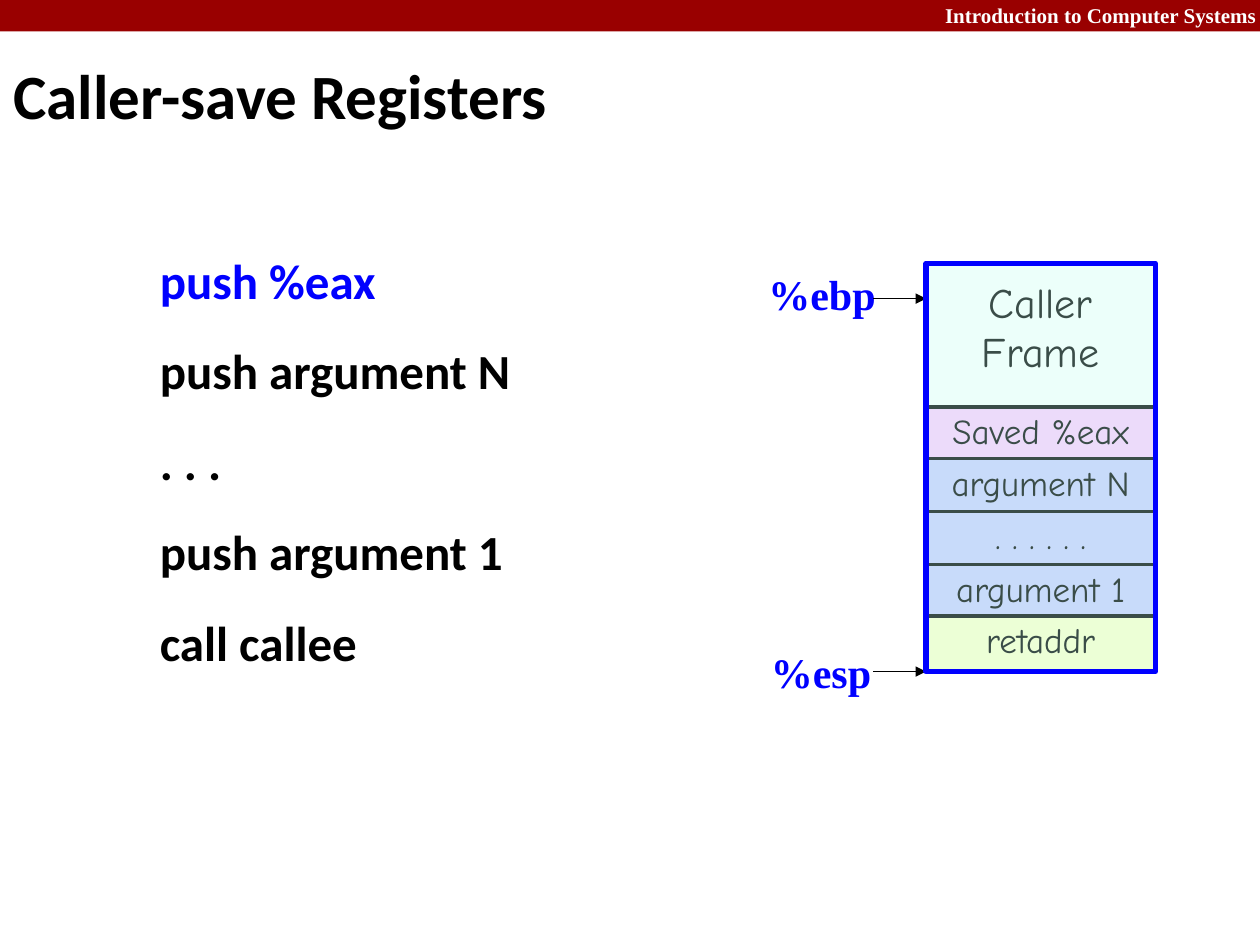
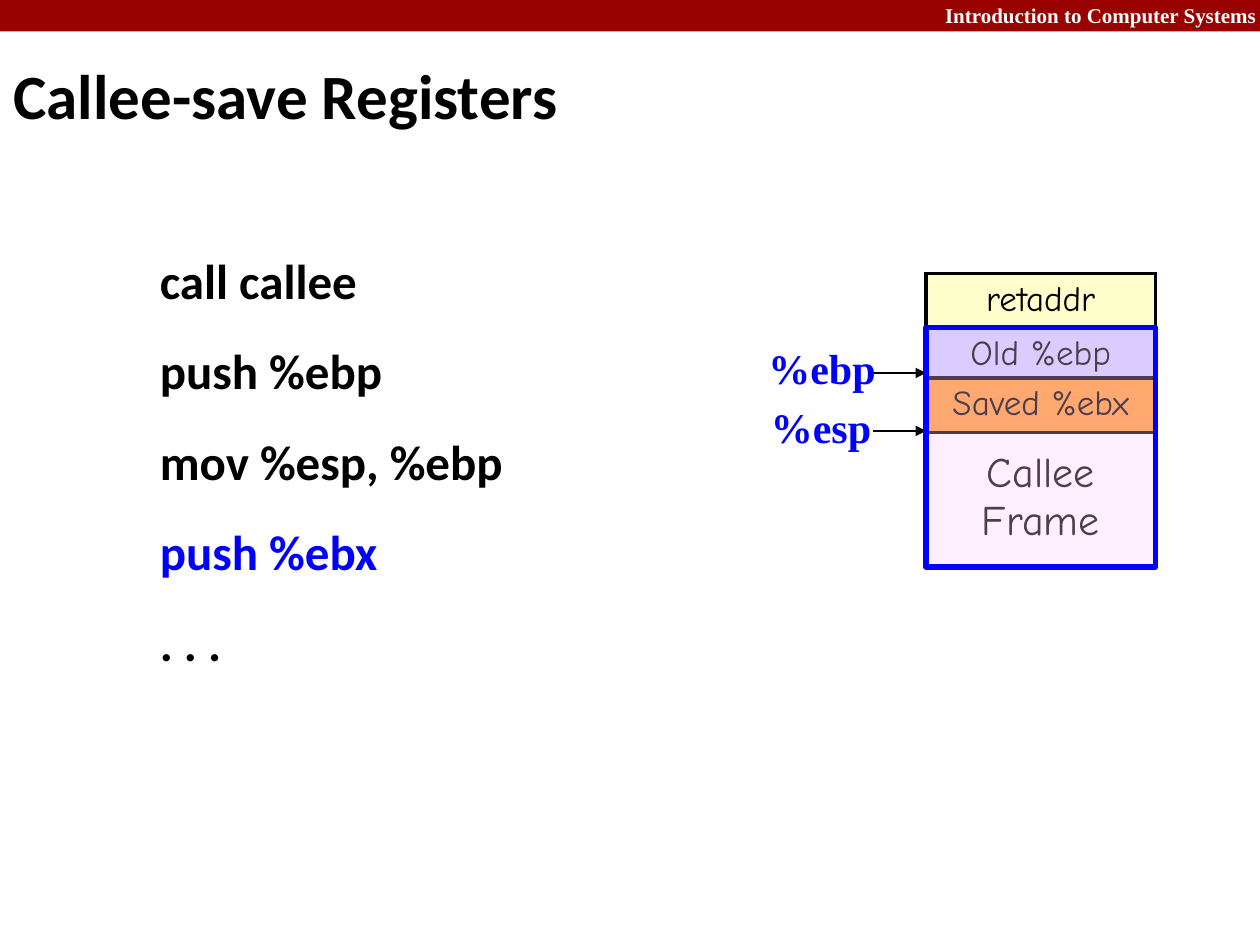
from dataclasses import dataclass

from lxml import etree
from pptx import Presentation
from pptx import util as u
from pptx.dml.color import RGBColor
from pptx.enum import shapes, text
from pptx.oxml import ns

# Content: cells are (text, top, fill); pointers are (text, left, label top, arrow height)
COURSE = "Introduction to Computer Systems"
SLIDES = [
    {
        "title": "Caller-save Registers",
        "code": ["push %eax", "push argument N", ". . .", "push argument 1", "call callee"],
        "highlight": "push %eax",
        "cells": [
            ("Saved %eax", 3.23, "FFCCFF"),
            ("argument N", 3.64, "CCCCFF"),
            (". . . . . .", 4.06, "CCCCFF"),
            ("argument 1", 4.48, "CCCCFF"),
            ("retaddr", 4.89, "FFFFCC"),
        ],
        "frame": {"label": "Caller\vFrame", "top": 2.09, "height": 3.24,
                  "label_offset": 0.14, "tint": "C2FFF0"},
        "pointers": [("%ebp", 6.0, 2.08, 2.37), ("%esp", 6.02, 5.08, 5.33)],
    },
    {
        "title": "Callee-save Registers",
        "code": ["call callee", "push %ebp", "mov %esp, %ebp", "push %ebx", ". . ."],
        "highlight": "push %ebx",
        "cells": [
            ("retaddr", 2.17, "FFFFCC"),
            ("Old %ebp", 2.6, "CCCCFF"),
            ("Saved %ebx", 3.0, "FF9933"),
        ],
        "frame": {"label": "Callee\vFrame", "top": 2.6, "height": 1.9,
                  "label_offset": 0.97, "tint": "FFCCFF"},
        "pointers": [("%ebp", 6.0, 2.67, 2.96), ("%esp", 6.02, 3.14, 3.42)],
    },
]


@dataclass(frozen=True)
class Theme:
    band: str = "990000"
    light: str = "FFFFFF"
    ink: str = "000000"
    accent: str = "0000FF"
    sans: str = "Calibri"
    serif: str = "Times New Roman"
    hand: str = "Comic Neue"
    course_size: int = 12
    title_size: int = 36
    code_size: int = 28
    pointer_size: int = 24
    frame_size: int = 24
    cell_size: int = 20
    code_gap: float = 4.7
    border: float = 2.25
    tint_opacity: int = 30


THEME = Theme()
STACK_LEFT, STACK_WIDTH, CELL_HEIGHT = 7.35, 1.82, 0.43
ARROW_LEFT = 6.93


def box(*lengths):
    return [u.Inches(length) for length in lengths]


def style(paragraph, font_name, size, color, bold=True):
    font = paragraph.font
    font.name, font.size, font.bold = font_name, u.Pt(size), bold
    font.color.rgb = RGBColor.from_string(color)


def add_text(slide, place, lines, wrap=True):
    """Add a text box and return its paragraphs."""
    frame = slide.shapes.add_textbox(*box(*place)).text_frame
    frame.word_wrap = wrap
    frame.text = "\n".join(lines)
    return frame.paragraphs


def add_rectangle(slide, place, fill):
    shape = slide.shapes.add_shape(shapes.MSO_SHAPE.RECTANGLE, *box(*place))
    shape.shadow.inherit = False
    shape.fill.solid()
    shape.fill.fore_color.rgb = RGBColor.from_string(fill)
    return shape


def add_header(slide, title):
    add_rectangle(slide, (0, 0, 10, 0.25), THEME.band).line.fill.background()
    course, = add_text(slide, (6, -0.03, 4.07, 0.3), [COURSE])
    course.alignment = text.PP_ALIGN.RIGHT
    style(course, THEME.serif, THEME.course_size, THEME.light)
    heading, = add_text(slide, (0.01, 0.33, 8.3, 0.83), [title])
    slide.shapes[-1].text_frame.vertical_anchor = text.MSO_ANCHOR.MIDDLE
    style(heading, THEME.sans, THEME.title_size, THEME.ink)


def add_code(slide, lines, highlight):
    for paragraph in add_text(slide, (1.17, 1.75, 8.5, 4.83), lines):
        paragraph.line_spacing = 1.4
        paragraph.space_before = u.Pt(THEME.code_gap)
        color = THEME.accent if paragraph.text == highlight else THEME.ink
        style(paragraph, THEME.sans, THEME.code_size, color)


def add_borders(cell):
    properties = cell._tc.get_or_add_tcPr()
    for index, side in enumerate(("lnL", "lnR", "lnT", "lnB")):
        line = etree.Element(ns.qn(f"a:{side}"), w=str(u.Pt(THEME.border)))
        fill = etree.SubElement(line, ns.qn("a:solidFill"))
        etree.SubElement(fill, ns.qn("a:srgbClr"), val=THEME.ink)
        properties.insert(index, line)


def add_cell(slide, label, top, height, size, fill=None, label_offset=0.05):
    """Add one block of the stack as a single-cell table."""
    place = box(STACK_LEFT, top, STACK_WIDTH, height)
    table = slide.shapes.add_table(1, 1, *place).table
    table.first_row = table.horz_banding = False
    cell = table.cell(0, 0)
    if fill:
        cell.fill.solid()
        cell.fill.fore_color.rgb = RGBColor.from_string(fill)
    else:
        cell.fill.background()
    cell.margin_top = u.Inches(label_offset)
    cell.text = label
    paragraph = cell.text_frame.paragraphs[0]
    paragraph.alignment = text.PP_ALIGN.CENTER
    style(paragraph, THEME.hand, size, THEME.ink, bold=False)
    add_borders(cell)


def add_pointer(slide, label, left, top, arrow_height):
    paragraph, = add_text(slide, (left, top, 1.06, 0.51), [label], wrap=False)
    style(paragraph, THEME.serif, THEME.pointer_size, THEME.accent)
    arrow = slide.shapes.add_connector(
        shapes.MSO_CONNECTOR.STRAIGHT,
        *box(ARROW_LEFT, arrow_height, STACK_LEFT, arrow_height))
    arrow.line.width = u.Pt(0.75)
    arrow.line.color.rgb = RGBColor.from_string(THEME.ink)
    etree.SubElement(arrow.line._get_or_add_ln(), ns.qn("a:tailEnd"), type="triangle")
    etree.SubElement(arrow._element.spPr, ns.qn("a:effectLst"))


def add_frame(slide, label, top, height, label_offset, tint):
    """Add the labelled stack frame under its translucent outline."""
    add_cell(slide, label, top, height, THEME.frame_size, label_offset=label_offset)
    outline = add_rectangle(slide, (STACK_LEFT, top, STACK_WIDTH, height), tint)
    outline.line.color.rgb = RGBColor.from_string(THEME.accent)
    outline.line.width = u.Pt(3)
    color = outline._element.spPr.find(ns.qn("a:solidFill"))[0]
    etree.SubElement(color, ns.qn("a:alpha"), val=str(THEME.tint_opacity * 1000))


def main():
    presentation = Presentation()
    presentation.slide_width, presentation.slide_height = box(10, 7.5)
    for content in SLIDES:
        slide = presentation.slides.add_slide(presentation.slide_layouts[6])
        add_header(slide, content["title"])
        add_code(slide, content["code"], content["highlight"])
        for label, top, fill in content["cells"]:
            add_cell(slide, label, top, CELL_HEIGHT, THEME.cell_size, fill)
        for pointer in content["pointers"]:
            add_pointer(slide, *pointer)
        add_frame(slide, **content["frame"])
    presentation.save("out.pptx")


if __name__ == "__main__":
    main()
